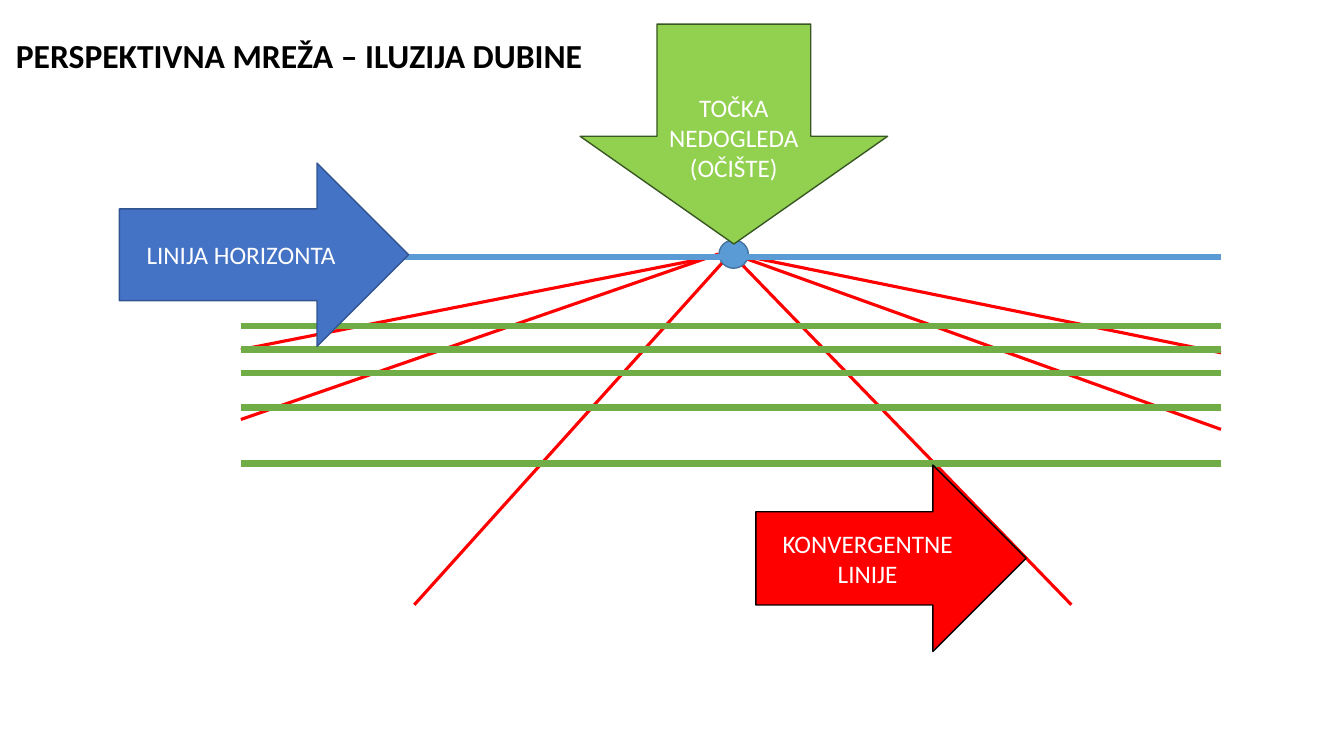
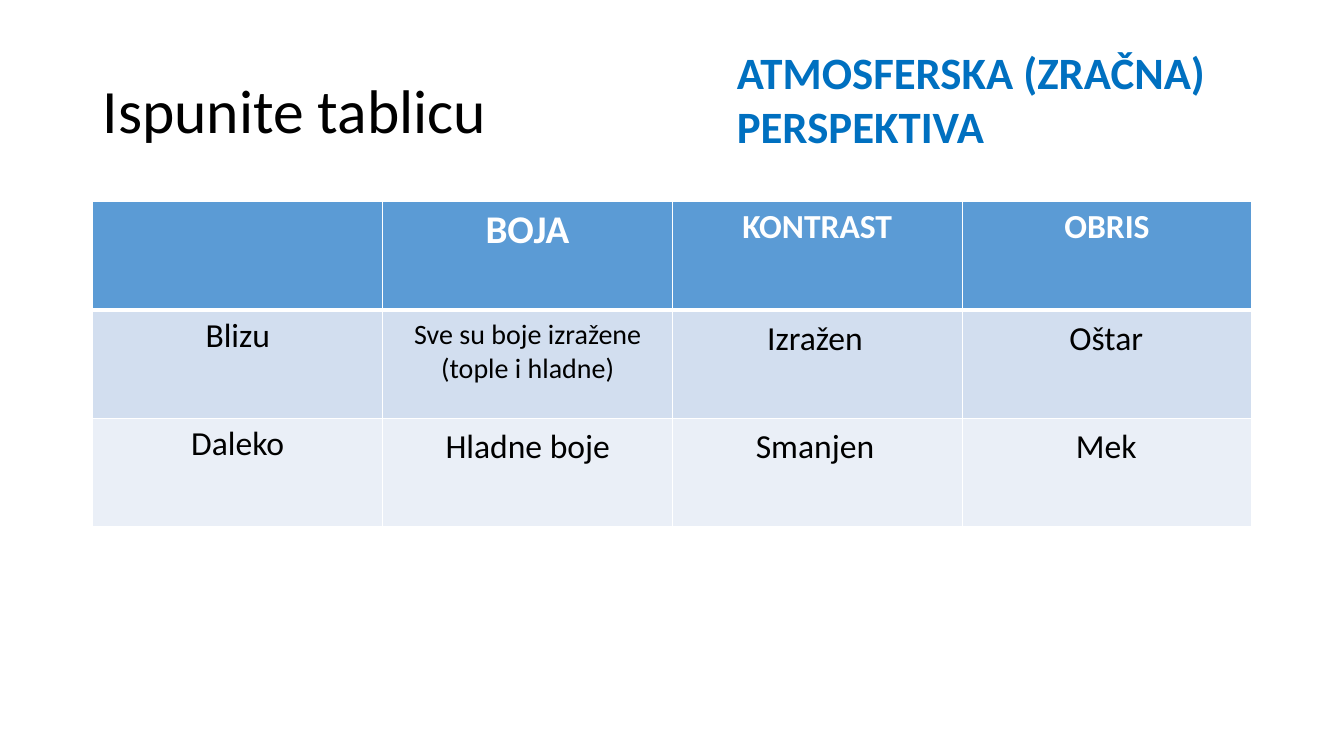
import pptx
import pptx.dml.color
import pptx.enum.shapes
import pptx.enum.text
import pptx.oxml
import pptx.oxml.ns
import pptx.util

Cm = pptx.util.Cm
Pt = pptx.util.Pt
RGBColor = pptx.dml.color.RGBColor
Shape = pptx.enum.shapes.MSO_SHAPE
Anchor = pptx.enum.text.MSO_ANCHOR
Align = pptx.enum.text.PP_ALIGN

# Shared style
FONT = "Calibri"
BLACK = RGBColor(0x00, 0x00, 0x00)
WHITE = RGBColor(0xFF, 0xFF, 0xFF)
RED = RGBColor(0xFF, 0x00, 0x00)
GREEN = RGBColor(0x70, 0xAD, 0x47)
LIME = RGBColor(0x92, 0xD0, 0x50)
DARK_GREEN = RGBColor(0x38, 0x57, 0x23)
SKY = RGBColor(0x5B, 0x9B, 0xD5)
DARK_SKY = RGBColor(0x43, 0x73, 0x9E)
BLUE = RGBColor(0x44, 0x72, 0xC4)
DARK_BLUE = RGBColor(0x32, 0x54, 0x91)
HEADING_BLUE = RGBColor(0x00, 0x70, 0xC0)
BAND_DARK = RGBColor(0xD2, 0xDE, 0xEF)
BAND_LIGHT = RGBColor(0xEA, 0xEF, 0xF7)

# Perspective grid, in centimetres
VANISHING_POINT = (18.42, 6.38)
POINT_EDGE = (18.11, 6.4)
GRID_LEFT, GRID_RIGHT = 6.07, 30.77
HORIZON_Y = 6.48
DEPTH_LINES_Y = [11.68, 10.27, 9.4, 8.81, 8.22]
CONVERGENT_LINES = [
    ((10.44, 15.24), VANISHING_POINT),
    ((27, 15.24), VANISHING_POINT),
    ((GRID_LEFT, 10.57), POINT_EDGE),
    ((GRID_RIGHT, 10.82), VANISHING_POINT),
    ((GRID_RIGHT, 8.89), VANISHING_POINT),
    ((GRID_LEFT, 8.81), VANISHING_POINT),
]

# Table: text and size of each cell
TABLE_ROWS = [
    (SKY, [("", 24), ("BOJA", 28), ("KONTRAST", 24), ("OBRIS", 24)]),
    (BAND_DARK, [("Blizu", 24), ("", 24), ("", 24), ("", 24)]),
    (BAND_LIGHT, [("Daleko", 24), ("", 24), ("", 24), ("", 24)]),
]

# Answers laid over the table: left and width of columns, top and texts of rows
ANSWER_COLUMNS = [(9.73, 7.14), (16.87, 7.34), (24.21, 7.34)]
ANSWER_ROWS = [
    (7.85, [("Sve su boje izražene (tople i hladne)", 20), ("Izražen", 24), ("Oštar", 24)]),
    (10.57, [("Hladne boje", 24), ("Smanjen", 24), ("Mek", 24)]),
]


def write_text(frame, text, size, color, bold=False, align=Align.LEFT, spacing=None):
    """Write one paragraph per line of text."""
    frame.word_wrap = True
    font_format = {"name": FONT, "size": Pt(size), "bold": bold}
    for index, line in enumerate(text.split("\n")):
        paragraph = frame.add_paragraph() if index else frame.paragraphs[0]
        paragraph.text = line
        paragraph.alignment = align
        paragraph.line_spacing = spacing
        for name, value in font_format.items():
            setattr(paragraph.font, name, value)
        paragraph.font.color.rgb = color


def add_text(slide, box, text, size, color=BLACK, anchor=Anchor.TOP, **style):
    frame = slide.shapes.add_textbox(*map(Cm, box)).text_frame
    frame.vertical_anchor = anchor
    write_text(frame, text, size, color, **style)


def add_line(slide, start, end, color, width):
    connector = slide.shapes.add_connector(
        pptx.enum.shapes.MSO_CONNECTOR.STRAIGHT, *map(Cm, start + end))
    connector.line.color.rgb = color
    connector.line.width = Pt(width)
    properties = connector._element.spPr
    properties.append(pptx.oxml.parse_xml(
        f"<a:effectLst {pptx.oxml.ns.nsdecls('a')}/>"))


def add_shape(slide, kind, box, fill, outline, text=""):
    shape = slide.shapes.add_shape(kind, *map(Cm, box))
    shape.shadow.inherit = False
    shape.fill.solid()
    shape.fill.fore_color.rgb = fill
    shape.line.color.rgb = outline
    shape.line.width = Pt(1)
    if text:
        shape.text_frame.vertical_anchor = Anchor.MIDDLE
        write_text(shape.text_frame, text, 18, WHITE, align=Align.CENTER)
    return shape


def set_borders(cell, widths):
    """Draw white borders; widths maps a side (L, R, T, B) to points."""
    properties = cell._tc.get_or_add_tcPr()
    for side, width in widths.items():
        properties.append(pptx.oxml.parse_xml(
            f'<a:ln{side} {pptx.oxml.ns.nsdecls("a")} w="{Pt(width)}">'
            f'<a:solidFill><a:srgbClr val="{WHITE}"/></a:solidFill></a:ln{side}>'))


def add_table(slide, box, rows):
    column_count = len(rows[0][1])
    table = slide.shapes.add_table(len(rows), column_count, *map(Cm, box)).table
    for row_index, (fill, entries) in enumerate(rows):
        is_header = row_index == 0
        for column_index, (text, size) in enumerate(entries):
            cell = table.cell(row_index, column_index)
            set_borders(cell, {"L": 1, "R": 1, "T": 3 if row_index == 1 else 1,
                               "B": 3 if is_header else 1})
            cell.fill.solid()
            cell.fill.fore_color.rgb = fill
            write_text(cell.text_frame, text, size, WHITE if is_header else BLACK,
                       bold=is_header, align=Align.CENTER)


def build_grid_slide(slide):
    # Lines meeting at the vanishing point
    for start, end in CONVERGENT_LINES:
        add_line(slide, start, end, RED, 2.25)
    add_shape(slide, Shape.OVAL, (18.12, 6.05, 0.74, 0.71), SKY, DARK_SKY)

    # Horizon and depth lines
    levels = [(HORIZON_Y, SKY)] + [(y, GREEN) for y in DEPTH_LINES_Y]
    for y, color in levels:
        add_line(slide, (GRID_LEFT, y), (GRID_RIGHT, y), color, 4.5)

    add_text(slide, (0.15, 0.76, 16.79, 1.27),
             "PERSPEKTIVNA MREŽA – ILUZIJA DUBINE", 24, bold=True)

    # Labelled arrows
    point_arrow = add_shape(slide, Shape.DOWN_ARROW, (14.62, 0.61, 7.75, 5.54),
                            LIME, DARK_GREEN, "TOČKA\nNEDOGLEDA\n(OČIŠTE)")
    point_arrow.adjustments[1] = 0.49
    point_arrow.text_frame.margin_top = Cm(1.66)
    add_shape(slide, Shape.RIGHT_ARROW, (19.05, 11.72, 6.81, 4.7),
              RED, BLACK, "KONVERGENTNE LINIJE")
    add_shape(slide, Shape.RIGHT_ARROW, (3.01, 4.11, 7.29, 4.62),
              BLUE, DARK_BLUE, "LINIJA HORIZONTA")


def build_table_slide(slide):
    add_text(slide, (2.34, 1.02, 29.21, 3.68), "Ispunite tablicu", 44,
             anchor=Anchor.MIDDLE, spacing=0.9)
    add_table(slide, (2.34, 5.08, 29.21, 8.2), TABLE_ROWS)

    # Answers
    for top, answers in ANSWER_ROWS:
        for (left, width), (text, size) in zip(ANSWER_COLUMNS, answers):
            add_text(slide, (left, top, width, 2.06), text, size, align=Align.CENTER)

    add_text(slide, (18.32, 1.01, 14.58, 3), "ATMOSFERSKA (ZRAČNA) PERSPEKTIVA",
             32, HEADING_BLUE, bold=True)


def main():
    presentation = pptx.Presentation()
    presentation.slide_width = Cm(33.87)
    presentation.slide_height = Cm(19.05)
    blank_layout = presentation.slide_layouts[6]
    for build in (build_grid_slide, build_table_slide):
        build(presentation.slides.add_slide(blank_layout))
    presentation.save("out.pptx")


if __name__ == "__main__":
    main()
